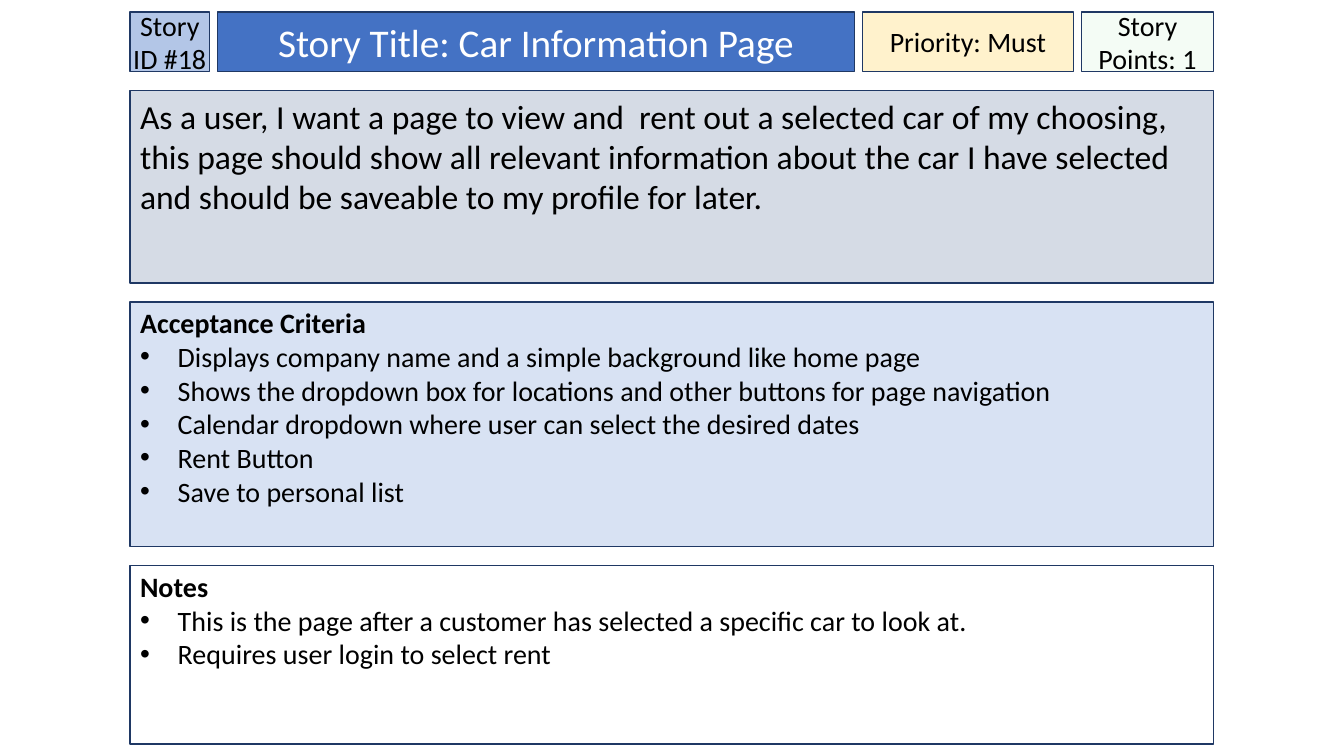
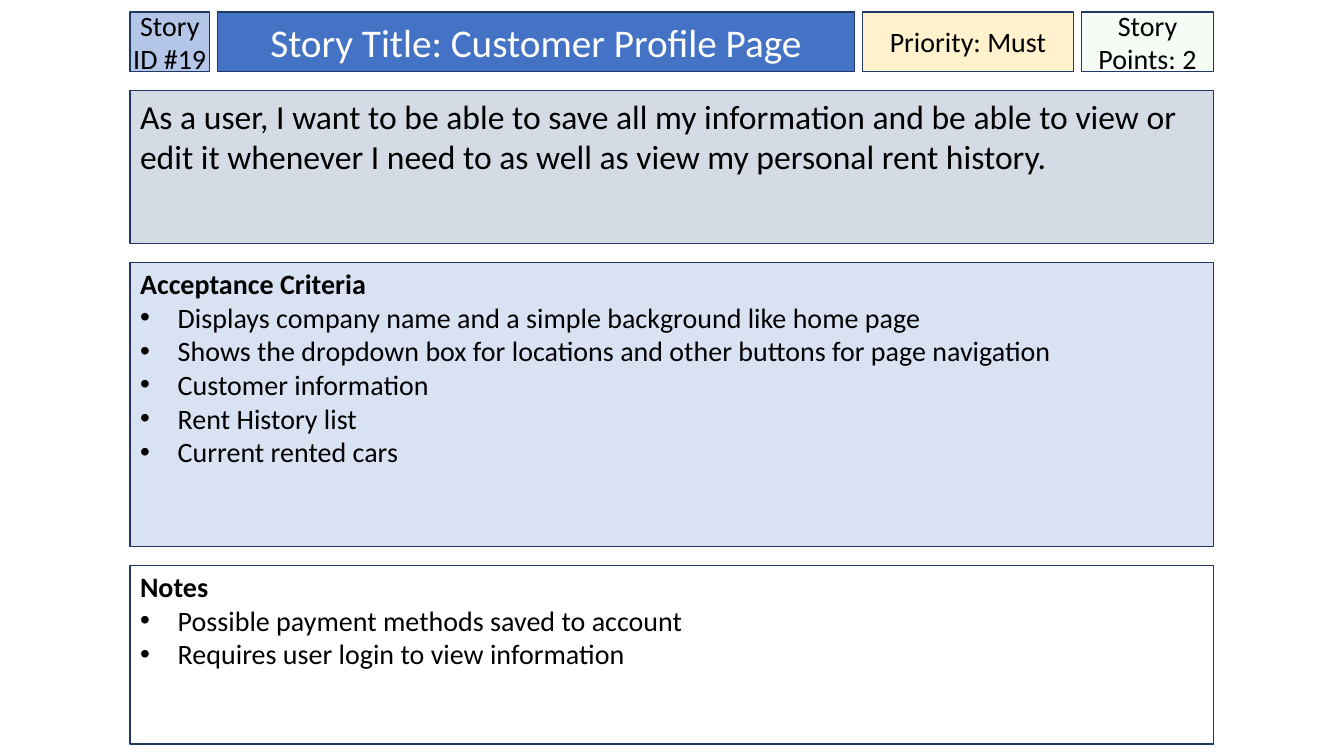
from dataclasses import dataclass

from lxml.etree import SubElement
from pptx import Presentation
from pptx.dml.color import RGBColor as RGB
from pptx.enum.shapes import MSO_SHAPE as SHAPE
from pptx.enum.text import MSO_ANCHOR as ANCHOR, PP_ALIGN as ALIGN
from pptx.oxml.ns import qn
from pptx.util import Cm, Pt


@dataclass(frozen=True)
class Theme:
    """Colours, type sizes and spacing shared by every story card."""
    font: str = "Calibri"
    ink: str = "000000"
    title_ink: str = "FFFFFF"
    border: str = "1F3864"
    id_fill: str = "B3C6E7"
    title_fill: str = "4472C4"
    priority_fill: str = "FFF2CC"
    points_fill: str = "CCF0CD"
    points_opacity: int = 20
    story_fill: str = "D5DBE5"
    criteria_fill: str = "D8E2F3"
    remarks_fill: str = "FFFFFF"
    title_size: int = 28
    story_size: int = 24
    body_size: int = 20
    border_width: int = 1
    inset: float = 0.25
    inset_y: float = 0.13
    list_inset_y: float = 0.1
    bullet_indent: float = 0.95
    header_gap: float = 0.2
    panel_gap: float = 0.48


@dataclass(frozen=True)
class Box:
    """A rectangle in centimetres."""
    left: float
    top: float
    width: float
    height: float


@dataclass(frozen=True)
class Story:
    """The content of one story card."""
    number: int
    title: str
    priority: str
    points: int
    text: str
    text_height: float
    criteria: tuple
    remarks: tuple


T = Theme()
CARD = Box(3.28, 0.3, 27.3, 18.45)
HEADER_HEIGHT = 1.5
REMARKS_HEIGHT = 4.5
ID_WIDTH, TITLE_WIDTH, PRIORITY_WIDTH = 2, 16.05, 5.33

SHARED_CRITERIA = (
    "Displays company name and a simple background like home page",
    "Shows the dropdown box for locations and other buttons for page navigation",
)
STORIES = (
    Story(
        18, "Car Information Page", "Must", 1,
        "As a user, I want a page to view and  rent out a selected car of my "
        "choosing, this page should show all relevant information about the car "
        "I have selected and should be saveable to my profile for later.",
        4.85,
        SHARED_CRITERIA + (
            "Calendar dropdown where user can select the desired dates",
            "Rent Button",
            "Save to personal list",
        ),
        ("This is the page after a customer has selected a specific car to look at.",
         "Requires user login to select rent"),
    ),
    Story(
        19, "Customer Profile Page", "Must", 2,
        "As a user, I want to be able to save all my information and be able to "
        "view or edit it whenever I need to as well as view my personal rent history.",
        3.86,
        SHARED_CRITERIA + (
            "Customer information",
            "Rent History list",
            "Current rented cars",
        ),
        ("Possible payment methods saved to account",
         "Requires user login to view information"),
    ),
)


def add_panel(s, box, fill, inset_x=T.inset, inset_y=T.inset_y, anchor=ANCHOR.TOP):
    """Add a bordered rectangle ready for text."""
    sp = s.shapes.add_shape(SHAPE.RECTANGLE, Cm(box.left), Cm(box.top),
                            Cm(box.width), Cm(box.height))
    sp.shadow.inherit = False
    sp.fill.solid()
    sp.fill.fore_color.rgb = RGB.from_string(fill)
    sp.line.color.rgb = RGB.from_string(T.border)
    sp.line.width = Pt(T.border_width)
    tf = sp.text_frame
    tf.word_wrap = True
    tf.vertical_anchor = anchor
    tf.margin_left = tf.margin_right = Cm(inset_x)
    tf.margin_top, tf.margin_bottom = Cm(inset_y), Cm(T.inset_y)
    return sp


def write(p, text, size=T.body_size, color=T.ink, bold=False, align=ALIGN.LEFT):
    """Fill a paragraph and format its run."""
    p.text = text
    p.alignment = align
    for r in p.runs:
        r.font.name = T.font
        r.font.size = Pt(size)
        r.font.bold = bold
        r.font.color.rgb = RGB.from_string(color)


def add_bullet(p):
    """Give a paragraph a hanging round bullet."""
    pPr = p._p.get_or_add_pPr()
    pPr.set("marL", str(Cm(T.bullet_indent)))
    pPr.set("indent", str(-Cm(T.bullet_indent)))
    color = SubElement(pPr, qn("a:buClr"))
    SubElement(color, qn("a:srgbClr"), val=T.ink)
    SubElement(pPr, qn("a:buFont"), typeface="Arial")
    SubElement(pPr, qn("a:buChar"), char="•")


def set_opacity(sp, percent):
    """Make a solid shape fill translucent."""
    solid = sp._element.spPr.find(qn("a:solidFill"))
    SubElement(solid.find(qn("a:srgbClr")), qn("a:alpha"), val=str(percent * 1000))


def add_header(s, box, story):
    """Place the row of ID, title, priority and points cells."""
    points_width = (box.width - ID_WIDTH - TITLE_WIDTH - PRIORITY_WIDTH
                    - 3 * T.header_gap)
    cells = (
        (f"Story ID #{story.number}", ID_WIDTH, T.id_fill, 0, T.body_size, T.ink),
        (f"Story Title: {story.title}", TITLE_WIDTH, T.title_fill, T.inset,
         T.title_size, T.title_ink),
        (f"Priority: {story.priority}", PRIORITY_WIDTH, T.priority_fill, 0,
         T.body_size, T.ink),
        (f"Story Points: {story.points}", points_width, T.points_fill, 0,
         T.body_size, T.ink),
    )
    left = box.left
    for text, width, fill, inset, size, color in cells:
        cell = Box(left, box.top, width, box.height)
        sp = add_panel(s, cell, fill, inset, anchor=ANCHOR.MIDDLE)
        write(sp.text_frame.paragraphs[0], text, size, color, align=ALIGN.CENTER)
        left += width + T.header_gap
    set_opacity(sp, T.points_opacity)


def add_story_text(s, box, text):
    """Place the user story statement."""
    sp = add_panel(s, box, T.story_fill)
    write(sp.text_frame.paragraphs[0], text, T.story_size)


def add_list(s, box, heading, items, fill):
    """Place a panel with a bold heading and bullets."""
    tf = add_panel(s, box, fill, inset_y=T.list_inset_y).text_frame
    write(tf.paragraphs[0], heading, bold=True)
    for item in items:
        p = tf.add_paragraph()
        write(p, item)
        add_bullet(p)


def add_card(prs, box, story):
    """Build one story slide inside the given box."""
    s = prs.slides.add_slide(prs.slide_layouts[6])
    story_top = box.top + HEADER_HEIGHT + T.panel_gap
    criteria_top = story_top + story.text_height + T.panel_gap
    remarks_top = box.top + box.height - REMARKS_HEIGHT
    criteria_height = remarks_top - T.panel_gap - criteria_top

    add_header(s, Box(box.left, box.top, box.width, HEADER_HEIGHT), story)
    add_story_text(s, Box(box.left, story_top, box.width, story.text_height),
                   story.text)
    add_list(s, Box(box.left, criteria_top, box.width, criteria_height),
             "Acceptance Criteria", story.criteria, T.criteria_fill)
    add_list(s, Box(box.left, remarks_top, box.width, REMARKS_HEIGHT),
             "Notes", story.remarks, T.remarks_fill)


def main():
    """Build and save the deck of story cards."""
    prs = Presentation()
    prs.slide_width, prs.slide_height = Cm(33.87), Cm(19.05)
    for story in STORIES:
        add_card(prs, CARD, story)
    prs.save("out.pptx")


main()
